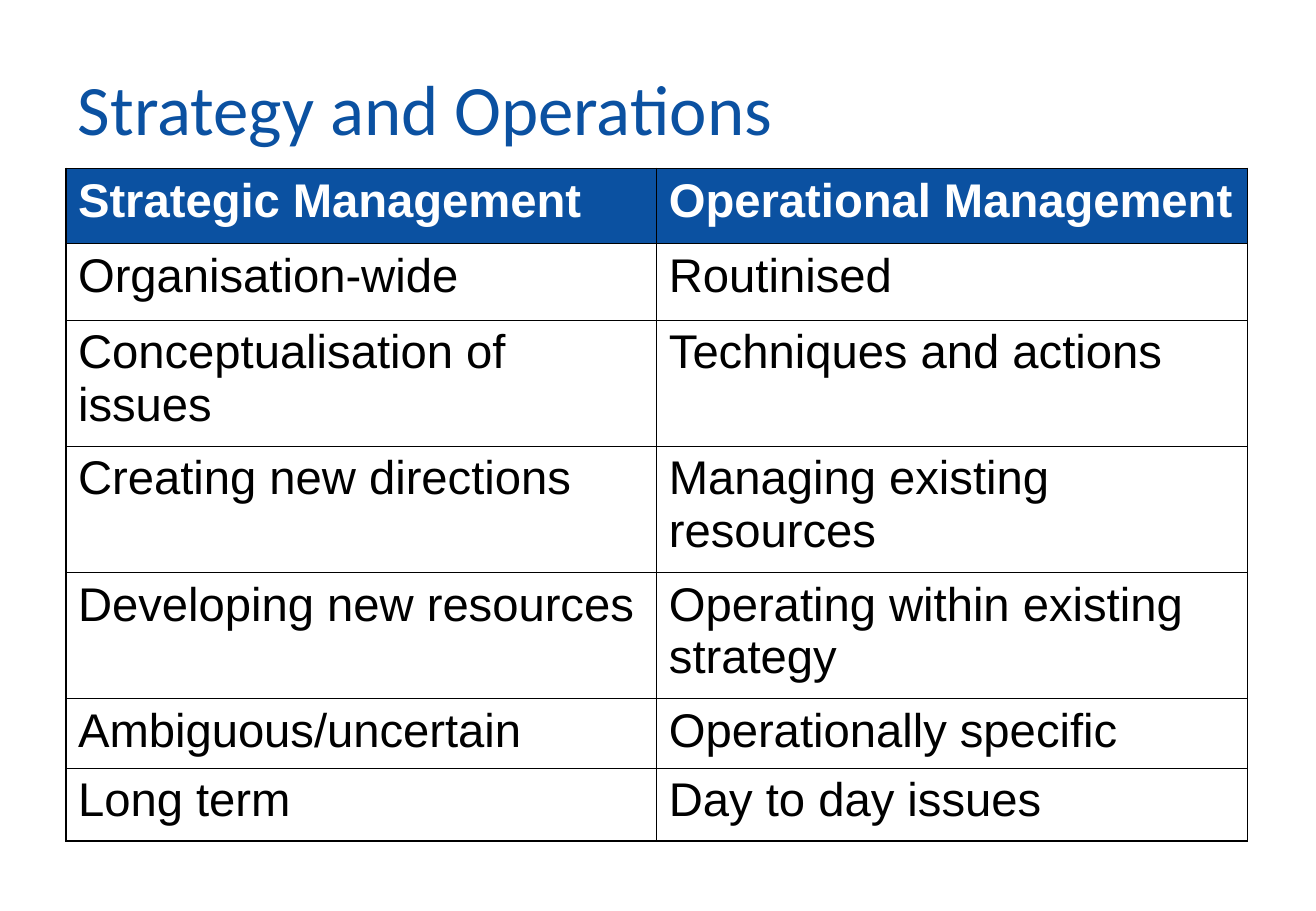
from lxml import etree
from pptx import Presentation
from pptx.dml.color import RGBColor
from pptx.enum.text import MSO_ANCHOR
from pptx.oxml.ns import qn
from pptx.util import Cm, Pt

MIDDLE = MSO_ANCHOR.MIDDLE
COLOURS = {"blue": "0B51A1", "white": "FFFFFF", "black": "000000"}
OUTER_LINE, INNER_LINE = Pt(1.08), Pt(0.45)

COMPARISON = [
    ("Strategic Management", "Operational Management"),
    ("Organisation-wide", "Routinised"),
    ("Conceptualisation of issues", "Techniques and actions"),
    ("Creating new directions", "Managing existing resources"),
    ("Developing new resources", "Operating within existing strategy"),
    ("Ambiguous/uncertain", "Operationally specific"),
    ("Long term", "Day to day issues"),
]
ROW_HEIGHTS = [1.57, 1.6, 2.64, 2.64, 2.64, 1.45, 1.52]


def colour(name):
    return RGBColor.from_string(COLOURS[name])


def style_font(font, name, size, colour_name, bold=False):
    font.name = name
    font.size = Pt(size)
    font.bold = bold
    font.color.rgb = colour(colour_name)


def add_title(page, text, left, top, width, height):
    box = page.shapes.add_textbox(left, top, width, height)
    frame = box.text_frame
    frame.word_wrap = True
    frame.vertical_anchor = MIDDLE
    para = frame.paragraphs[0]
    para.text = text
    para.line_spacing = 0.9
    style_font(para.font, "Calibri", 42, "blue")


def set_borders(cell, outer_sides):
    properties = cell._tc.get_or_add_tcPr()
    for side in "LRTB":
        width = OUTER_LINE if side in outer_sides else INNER_LINE
        line = etree.SubElement(properties, qn(f"a:ln{side}"), w=str(width))
        fill = etree.SubElement(line, qn("a:solidFill"))
        etree.SubElement(fill, qn("a:srgbClr"), val=COLOURS["black"])


def fill_cell(cell, text, is_header):
    if is_header:
        cell.fill.solid()
        cell.fill.fore_color.rgb = colour("blue")
    else:
        cell.fill.background()
    para = cell.text_frame.paragraphs[0]
    para.text = text
    para.space_before = Pt(7)
    style_font(para.font, "Arial", 28, "white" if is_header else "black", is_header)


def add_comparison(page, rows, heights, left, top, width):
    column_count = len(rows[0])
    total_height = Cm(sum(heights))
    table = page.shapes.add_table(
        len(rows), column_count, left, top, width, total_height
    ).table
    table.first_row = False
    table.horz_banding = False
    for column in table.columns:
        column.width = width // column_count
    for row_index, (texts, height) in enumerate(zip(rows, heights)):
        table.rows[row_index].height = Cm(height)
        for column_index, text in enumerate(texts):
            cell = table.cell(row_index, column_index)
            edges = {
                "L": column_index == 0,
                "R": column_index == column_count - 1,
                "T": row_index == 0,
                "B": row_index == len(rows) - 1,
            }
            set_borders(cell, [side for side, outer in edges.items() if outer])
            fill_cell(cell, text, row_index == 0)


def main():
    deck = Presentation()
    deck.slide_width, deck.slide_height = Cm(27.53), Cm(19.05)
    page = deck.slides.add_slide(deck.slide_layouts[6])
    left = Cm(1.38)
    add_title(page, "Strategy and Operations", left, Cm(0.76), Cm(24.77), Cm(3.18))
    add_comparison(page, COMPARISON, ROW_HEIGHTS, left, Cm(3.52), Cm(24.72))
    deck.save("out.pptx")


if __name__ == "__main__":
    main()
